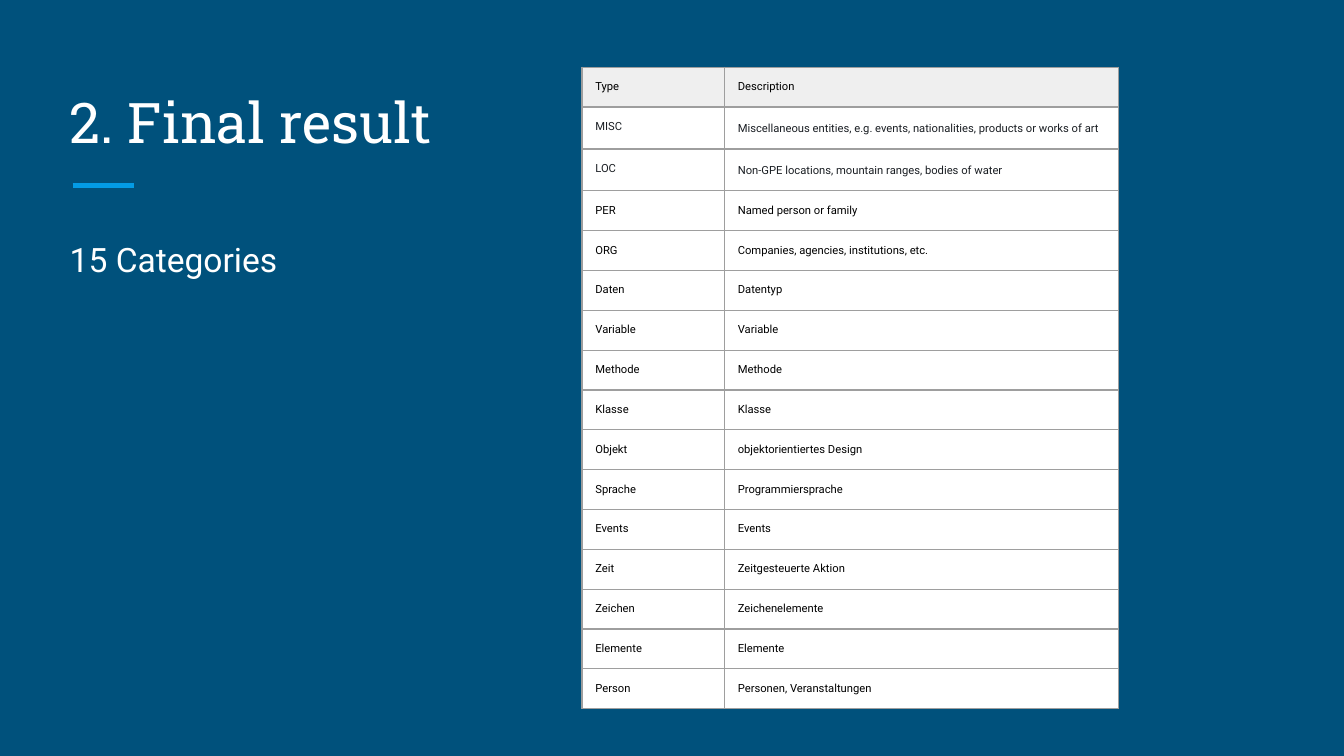
from lxml.etree import SubElement
from pptx import Presentation
from pptx.dml.color import RGBColor
from pptx.enum.shapes import MSO_CONNECTOR
from pptx.enum.text import MSO_ANCHOR
from pptx.oxml.ns import qn
from pptx.util import Inches, Pt

NAVY = RGBColor(0x00, 0x51, 0x7C)
BLUE = RGBColor(0x03, 0x9B, 0xE5)
WHITE = RGBColor(0xFF, 0xFF, 0xFF)
BLACK = RGBColor(0x00, 0x00, 0x00)
INK = RGBColor(0x1A, 0x1E, 0x23)
HEADER = RGBColor(0xEF, 0xEF, 0xEF)
GRAY = RGBColor(0x9E, 0x9E, 0x9E)

CATEGORIES = [
    ("Type", "Description"),
    ("MISC", "Miscellaneous entities, e.g. events, nationalities, products or works of art"),
    ("LOC", "Non-GPE locations, mountain ranges, bodies of water"),
    ("PER", "Named person or family"),
    ("ORG", "Companies, agencies, institutions, etc."),
    ("Daten", "Datentyp"),
    ("Variable", "Variable"),
    ("Methode", "Methode"),
    ("Klasse", "Klasse"),
    ("Objekt", "objektorientiertes Design"),
    ("Sprache", "Programmiersprache"),
    ("Events", "Events"),
    ("Zeit", "Zeitgesteuerte Aktion"),
    ("Zeichen", "Zeichenelemente"),
    ("Elemente", "Elemente"),
    ("Person", "Personen, Veranstaltungen"),
]
INK_ROWS = (1, 2)  # rows with dark ink and looser descriptions


class SlideBuilder:
    heading_font = "Roboto Slab"
    body_font = "Roboto"
    inset = Inches(0.1)
    cell_inset = Pt(7.07)  # top and bottom of table cells

    def __init__(self, slide):
        self.slide = slide
        fill = slide.background.fill
        fill.solid()
        fill.fore_color.rgb = NAVY

    def set_margins(self, target, vertical):
        target.margin_left = target.margin_right = self.inset
        target.margin_top = target.margin_bottom = vertical

    def format_text(self, tf, text, font, size, color, loose=False):
        tf.text = text
        p = tf.paragraphs[0]
        if loose:
            p.line_spacing = 1.15
            p.space_after = Pt(12)
        r = p.runs[0]
        r.font.name = font
        r.font.size = Pt(size)
        r.font.bold = False
        r.font.color.rgb = color

    def text(self, x, y, w, h, text, font, size, anchor=MSO_ANCHOR.TOP, loose=False):
        sp = self.slide.shapes.add_textbox(Inches(x), Inches(y), Inches(w), Inches(h))
        tf = sp.text_frame
        tf.word_wrap = True
        tf.vertical_anchor = anchor
        self.set_margins(tf, self.inset)
        self.format_text(tf, text, font, size, WHITE, loose)

    def rule(self, x1, x2, y, color, width):
        line = self.slide.shapes.add_connector(
            MSO_CONNECTOR.STRAIGHT, Inches(x1), Inches(y), Inches(x2), Inches(y))
        line.line.color.rgb = color
        line.line.width = Pt(width)
        SubElement(line._element.spPr, qn("a:effectLst"))

    def border(self, cell, color, width):
        tc_pr = cell._tc.get_or_add_tcPr()
        for index, side in enumerate(("lnL", "lnR", "lnT", "lnB")):
            ln = tc_pr.makeelement(qn(f"a:{side}"), {"w": str(Pt(width))})
            fill = SubElement(ln, qn("a:solidFill"))
            SubElement(fill, qn("a:srgbClr"), val=str(color))
            tc_pr.insert(index, ln)

    def table(self, x, y, widths, row_height, rows):
        frame = self.slide.shapes.add_table(
            len(rows), len(widths), Inches(x), Inches(y),
            Inches(sum(widths)), Inches(row_height * len(rows)))
        table = frame.table
        for column, width in zip(table.columns, widths):
            column.width = Inches(width)
        for i, row in enumerate(rows):
            for j, text in enumerate(row):
                cell = table.cell(i, j)
                self.set_margins(cell, self.cell_inset)
                cell.fill.solid()
                cell.fill.fore_color.rgb = WHITE if i else HEADER
                special = i in INK_ROWS
                self.format_text(cell.text_frame, text, self.body_font, 6,
                                 INK if special else BLACK, special and j == 1)
                self.border(cell, GRAY, 0.75)


def main():
    prs = Presentation()
    prs.slide_width = Inches(10)
    prs.slide_height = prs.slide_width * 9 // 16
    s = SlideBuilder(prs.slides.add_slide(prs.slide_layouts[6]))

    # Heading with accent rule
    s.rule(0.54, 1, 1.38, BLUE, 3)
    s.text(0.42, 0.5, 9.15, 0.75, "2. Final result", s.heading_font, 30, MSO_ANCHOR.BOTTOM)

    # Summary
    s.text(0.42, 1.63, 2.72, 3.37, "15 Categories", s.body_font, 18, loose=True)

    # Category table
    s.table(4.33, 0.5, (1.06, 2.93), 0.25, CATEGORIES)

    prs.save("out.pptx")


if __name__ == "__main__":
    main()
